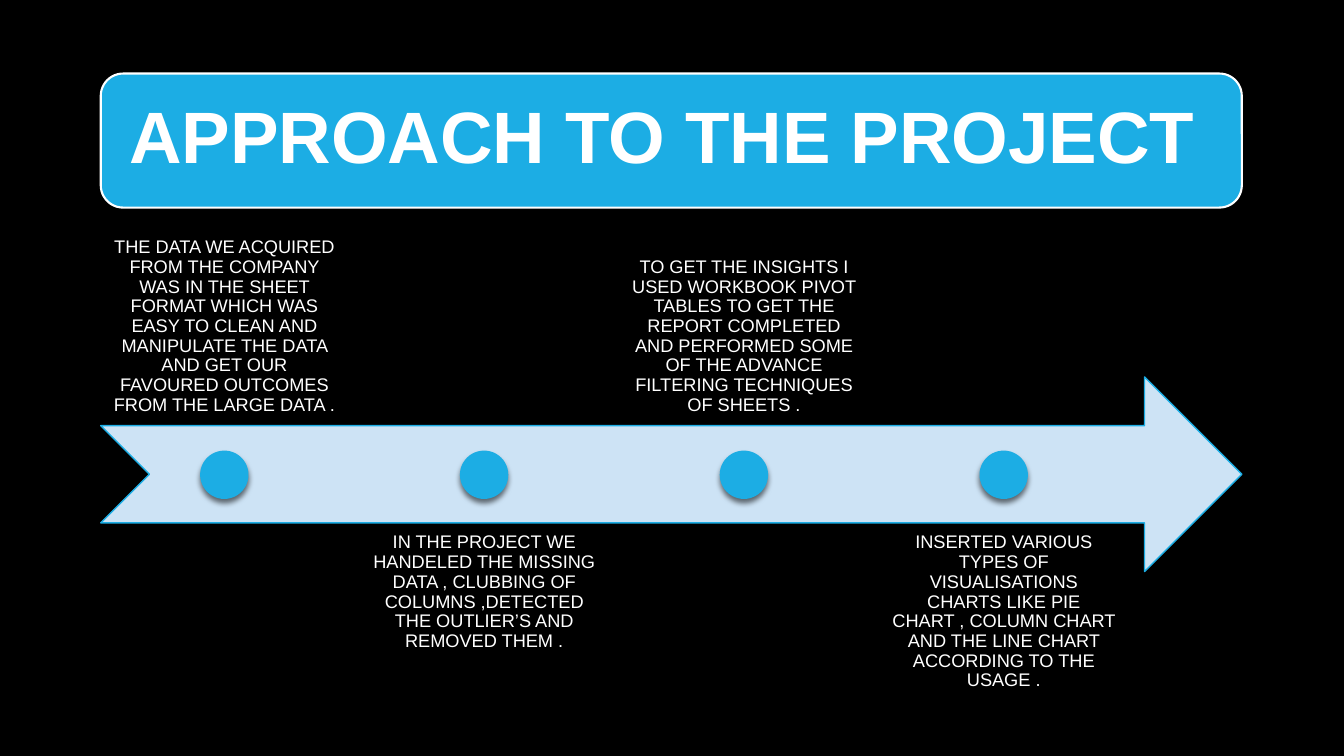
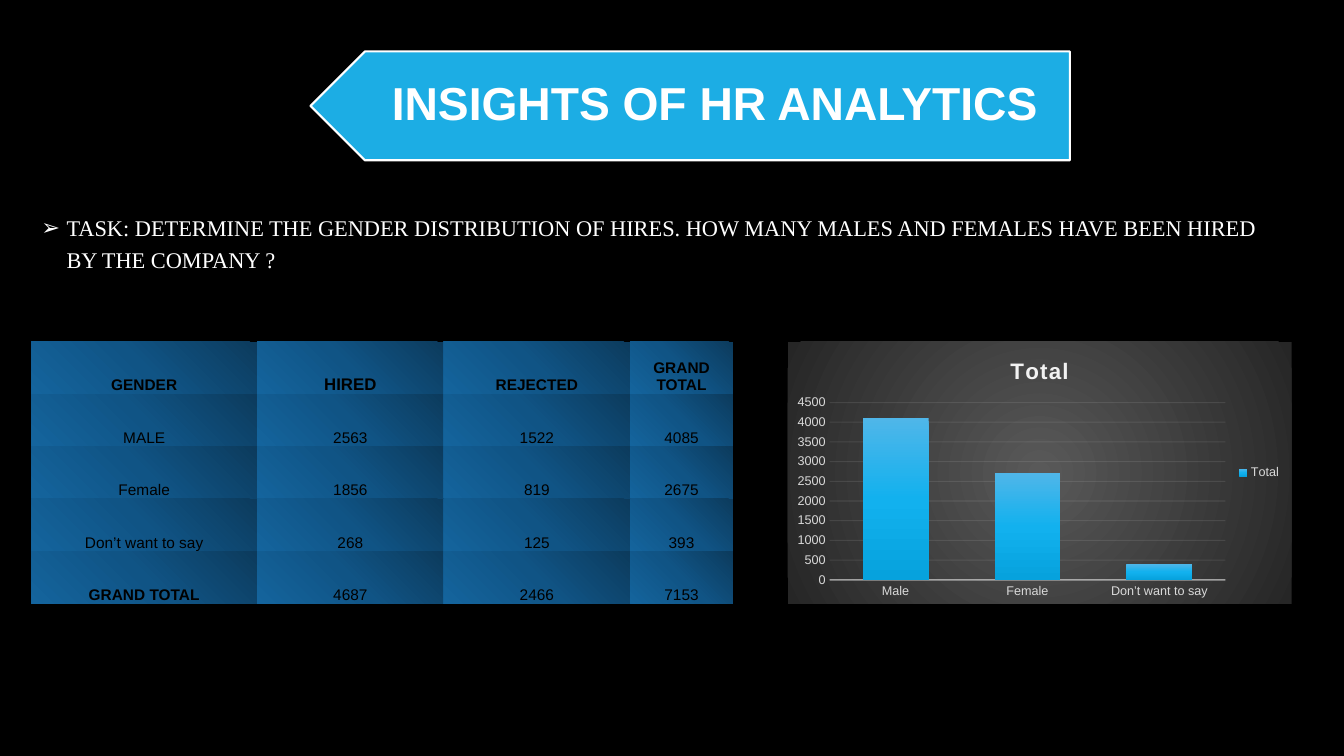
from dataclasses import dataclass
from typing import Any, NamedTuple, Optional

from lxml import etree
from pptx import Presentation
from pptx.chart.data import CategoryChartData
from pptx.dml.color import RGBColor
from pptx.enum.chart import XL_CHART_TYPE as ChartType, XL_LEGEND_POSITION as LegendPosition
from pptx.enum.chart import XL_TICK_MARK as TickMark
from pptx.enum.shapes import MSO_SHAPE as Preset
from pptx.enum.text import MSO_ANCHOR as Anchor, MSO_AUTO_SIZE as AutoSize, PP_ALIGN as Align
from pptx.oxml import parse_xml
from pptx.oxml.ns import nsdecls, qn
from pptx.util import Inches, Pt


class Gradient(NamedTuple):
    stops: tuple[tuple[int, str], ...]
    angle: Optional[int] = None


@dataclass(frozen=True)
class Theme:
    sans: str = "Arial"
    serif: str = "Times New Roman"
    ground: str = "000000"
    ink: str = "FFFFFF"
    accent: str = "1CADE4"
    pale: str = "CDE3F5"
    label: str = "D9D9D9"
    rule: str = "F2F2F2"
    title_size: int = 52
    subtitle_size: int = 33
    task_size: int = 16
    step_size: int = 13
    cell_size: int = 11
    large_cell_size: int = 12
    chart_title_size: int = 16
    chart_size: int = 9
    cell: Gradient = Gradient(((0, "0C3B5D"), (50, "105485"), (100, "14649D")), 135)
    bar: Gradient = Gradient(((0, "4FB6E9"), (50, "12B1EE"), (100, "06A2DD")), 90)
    plot: Gradient = Gradient(((0, "595959"), (100, "262626")))


THEME = Theme()
WIDTH, HEIGHT = Inches(13.33), Inches(7.5)
COLUMNS, ROWS = 100, 75


def columns(count: float) -> int:
    return round(WIDTH * count / COLUMNS)


def rows(count: float) -> int:
    return round(HEIGHT * count / ROWS)


class Box(NamedTuple):
    left: float
    top: float
    width: float
    height: float

    def frame(self) -> tuple[int, int, int, int]:
        return columns(self.left), rows(self.top), columns(self.width), rows(self.height)


class Banner(NamedTuple):
    text: str
    preset: Preset
    box: Box
    text_box: Box
    size: int
    align: Align
    insets: tuple[float, float, float, float]
    rotation: int = 0


class Step(NamedTuple):
    text: str
    above: bool


APPROACH = Banner("APPROACH TO THE PROJECT", Preset.ROUNDED_RECTANGLE,
                  Box(7.5, 7.3, 84.9, 13.3), Box(7.95, 7.9, 83.93, 12),
                  THEME.title_size, Align.LEFT, (0.22, 0.22, 0.22, 0.22))
INSIGHTS = Banner("INSIGHTS OF HR ANALYTICS", Preset.PENTAGON,
                  Box(23.1, 5.1, 56.5, 10.8), Box(25.13, 5.1, 54.47, 10.8),
                  THEME.subtitle_size, Align.CENTER, (0.48, 0.14, 0.26, 0.14), 180)

STEPS = (
    Step("THE DATA WE ACQUIRED FROM THE COMPANY WAS IN THE SHEET FORMAT WHICH WAS EASY TO CLEAN "
         "AND MANIPULATE THE DATA AND GET OUR FAVOURED OUTCOMES FROM THE LARGE DATA .", True),
    Step("IN THE PROJECT WE HANDELED THE MISSING DATA , CLUBBING OF COLUMNS ,DETECTED "
         "THE OUTLIER’S AND REMOVED THEM .", False),
    Step("TO GET THE INSIGHTS I USED WORKBOOK PIVOT TABLES TO GET THE REPORT COMPLETED AND "
         "PERFORMED SOME OF THE ADVANCE FILTERING TECHNIQUES OF SHEETS .", True),
    Step("INSERTED VARIOUS TYPES OF VISUALISATIONS CHARTS LIKE PIE CHART , COLUMN CHART "
         "AND THE LINE CHART ACCORDING TO THE USAGE .", False),
)
ARROW = Box(7.5, 37.4, 84.9, 19.3)
STEP_PITCH, STEP_WIDTH, STEP_HEIGHT = 19.33, 18.38, 19.3
ABOVE_TOP, BELOW_TOP = 22.9, 51.9
DOT_WIDTH, DOT_HEIGHT, DOT_TOP = 3.6, 4.8, 44.7

TASK = ("TASK: DETERMINE THE GENDER DISTRIBUTION OF HIRES. HOW MANY MALES AND FEMALES "
        "HAVE BEEN HIRED BY THE COMPANY ?")
TASK_BOX = Box(2.33, 20.2, 94.5, 49.7)
HIRES_BOX = Box(2.33, 33.9, 52.2, 26)
HIRES_COLUMNS = (16.8, 13.88, 13.88, 7.65)
HIRES = (
    ("GENDER", "HIRED", "REJECTED", "GRAND TOTAL"),
    ("MALE", "2563", "1522", "4085"),
    ("Female", "1856", "819", "2675"),
    ("Don’t want to say", "268", "125", "393"),
    ("GRAND TOTAL", "4687", "2466", "7153"),
)
CHART_BOX = Box(58.6, 33.9, 37.5, 26)
TOTALS = {"Male": 4100, "Female": 2700, "Don’t want to say": 400}


def apply(target: Any, values: dict[str, Any]) -> None:
    for name, value in values.items():
        setattr(target, name, value)


def set_font(font: Any, size: int, color: str, bold: bool = False, name: str = THEME.sans) -> None:
    apply(font, {"size": Pt(size), "bold": bold, "name": name})
    font.color.rgb = RGBColor.from_string(color)


def place(shape: Any, box: Box) -> None:
    apply(shape, dict(zip(("left", "top", "width", "height"), box.frame())))


def set_frame(frame: Any, anchor: Anchor, insets: tuple[float, ...]) -> None:
    names = ("margin_left", "margin_top", "margin_right", "margin_bottom")
    apply(frame, {"word_wrap": True, "auto_size": AutoSize.NONE, "vertical_anchor": anchor})
    apply(frame, {name: Inches(inset) for name, inset in zip(names, insets)})


def write(para: Any, text: str, align: Align, spacing: Optional[float] = None) -> Any:
    apply(para, {"alignment": align, "line_spacing": spacing, "space_before": Pt(0)})
    span = para.add_run()
    span.text = text
    return span.font


def gradient_fill(gradient: Gradient) -> Any:
    stops = "".join(f'<a:gs pos="{share * 1000}"><a:srgbClr val="{color}"/></a:gs>'
                    for share, color in gradient.stops)
    if gradient.angle is None:
        shade = ('<a:path path="circle"><a:fillToRect l="50000" t="50000" r="50000" b="50000"/>'
                 '</a:path>')
    else:
        shade = f'<a:lin ang="{gradient.angle * 60000}" scaled="0"/>'
    return parse_xml(f'<a:gradFill {nsdecls("a")} rotWithShape="1">'
                     f'<a:gsLst>{stops}</a:gsLst>{shade}</a:gradFill>')


def add_preset(page: Any, preset: Preset, box: Box, fill: str,
               line: Optional[str] = None, weight: float = 1) -> Any:
    shape = page.shapes.add_shape(preset, *box.frame())
    shape.shadow.inherit = False
    shape.fill.solid()
    shape.fill.fore_color.rgb = RGBColor.from_string(fill)
    if line is None:
        shape.line.fill.background()
    else:
        shape.line.color.rgb = RGBColor.from_string(line)
        shape.line.width = Pt(weight)
    return shape


def add_banner(page: Any, banner: Banner) -> None:
    shape = add_preset(page, banner.preset, banner.box, THEME.accent, THEME.ink, 1.5)
    shape.rotation = banner.rotation
    title = page.shapes.title
    shape.element.addnext(title.element)
    place(title, banner.text_box)
    set_frame(title.text_frame, Anchor.MIDDLE, banner.insets)
    font = write(title.text_frame.paragraphs[0], banner.text, banner.align, 0.9)
    set_font(font, banner.size, THEME.ink, True)


def add_dot(page: Any, box: Box) -> None:
    dot = add_preset(page, Preset.OVAL, box, THEME.accent)
    effects = dot.element.spPr.find(qn("a:effectLst"))
    effects.append(parse_xml(
        f'<a:outerShdw {nsdecls("a")} blurRad="{Pt(4)}" dist="{Pt(3)}" dir="5400000" '
        'rotWithShape="0"><a:srgbClr val="000000"><a:alpha val="54000"/></a:srgbClr>'
        '</a:outerShdw>'))


def add_step(page: Any, index: int, step: Step) -> None:
    left = ARROW.left + index * STEP_PITCH
    top, anchor = (ABOVE_TOP, Anchor.BOTTOM) if step.above else (BELOW_TOP, Anchor.TOP)
    note = page.shapes.add_textbox(*Box(left, top, STEP_WIDTH, STEP_HEIGHT).frame())
    set_frame(note.text_frame, anchor, (0.1, 0.1, 0.1, 0.1))
    font = write(note.text_frame.paragraphs[0], step.text, Align.CENTER, 0.9)
    set_font(font, THEME.step_size, THEME.ink)
    add_dot(page, Box(left + (STEP_WIDTH - DOT_WIDTH) / 2, DOT_TOP, DOT_WIDTH, DOT_HEIGHT))


def add_task(page: Any) -> None:
    body = page.placeholders[1]
    place(body, TASK_BOX)
    set_frame(body.text_frame, Anchor.TOP, (0.1, 0.05, 0.1, 0.05))
    para = body.text_frame.paragraphs[0]
    layout = para._p.get_or_add_pPr()
    layout.set("marL", str(Inches(0.25)))
    layout.set("indent", str(-Inches(0.25)))
    etree.SubElement(layout, qn("a:buFont"), typeface=THEME.sans)
    etree.SubElement(layout, qn("a:buChar"), char="➢")
    set_font(write(para, TASK, Align.LEFT, 1.2), THEME.task_size, THEME.ink, name=THEME.serif)


def add_hires(page: Any) -> None:
    holder = page.shapes.add_table(len(HIRES), len(HIRES_COLUMNS), *HIRES_BOX.frame())
    holder.element.xpath(".//a:tableStyleId")[0].text = "{2D5ABB26-0587-4C30-8999-92F81FD0307C}"
    table = holder.table
    apply(table, {"first_row": False, "horz_banding": False})
    for column, width in zip(table.columns, HIRES_COLUMNS):
        column.width = columns(width)
    for row_index, row in enumerate(HIRES):
        for column_index, text in enumerate(row):
            cell = table.cell(row_index, column_index)
            apply(cell, {"vertical_anchor": Anchor.BOTTOM, "margin_left": Inches(0.01),
                         "margin_top": Inches(0.01), "margin_right": Inches(0.01),
                         "margin_bottom": 0})
            size = THEME.large_cell_size if text == "HIRED" else THEME.cell_size
            bold = row_index == 0 or text == "GRAND TOTAL"
            font = write(cell.text_frame.paragraphs[0], text, Align.CENTER)
            set_font(font, size, THEME.ground, bold)
    for properties in holder.element.iter(qn("a:tcPr")):
        properties.append(gradient_fill(THEME.cell))


def add_totals(page: Any) -> None:
    data = CategoryChartData()
    data.categories = list(TOTALS)
    data.add_series("Total", list(TOTALS.values()))
    chart = page.shapes.add_chart(ChartType.COLUMN_CLUSTERED, *CHART_BOX.frame(), data).chart
    set_font(chart.font, THEME.chart_size, THEME.label)
    apply(chart, {"has_title": True, "has_legend": True})
    title = write(chart.chart_title.text_frame.paragraphs[0], "Total", Align.CENTER)
    set_font(title, THEME.chart_title_size, THEME.rule, True)
    apply(chart.legend, {"position": LegendPosition.RIGHT, "include_in_layout": False})
    apply(chart.plots[0], {"gap_width": 100, "vary_by_categories": False})
    apply(chart.value_axis, {"minimum_scale": 0, "maximum_scale": 4500, "major_unit": 500,
                             "has_major_gridlines": True})
    for axis in (chart.category_axis, chart.value_axis):
        apply(axis, {"major_tick_mark": TickMark.NONE, "minor_tick_mark": TickMark.NONE})
        set_font(axis.tick_labels.font, THEME.chart_size, THEME.label)
    set_font(chart.legend.font, THEME.chart_size, THEME.label)
    chart.value_axis.format.line.fill.background()
    for owner, weight in ((chart.category_axis, 1), (chart.value_axis.major_gridlines, 0.75)):
        owner.format.line.color.rgb = RGBColor.from_string(THEME.rule)
        owner.format.line.width = Pt(weight)
    root = chart.element
    for part, opacity in (("c:catAx/c:spPr", 54), ("c:majorGridlines", 10)):
        color = root.xpath(f".//{part}//a:srgbClr")[0]
        etree.SubElement(color, qn("a:alpha"), val=str(opacity * 1000))
    root.xpath(".//c:title//a:rPr")[0].set("spc", "100")
    root.xpath(".//c:ser")[0].get_or_add_spPr().append(gradient_fill(THEME.bar))
    area = parse_xml(f'<c:spPr {nsdecls("c", "a")}><a:ln><a:noFill/></a:ln></c:spPr>')
    area.insert(0, gradient_fill(THEME.plot))
    root.find(qn("c:chart")).addnext(area)


def build_approach(deck: Any) -> None:
    page = deck.slides.add_slide(deck.slide_layouts.get_by_name("Title Only"))
    add_banner(page, APPROACH)
    add_preset(page, Preset.NOTCHED_RIGHT_ARROW, ARROW, THEME.pale, THEME.accent)
    for index, step in enumerate(STEPS):
        add_step(page, index, step)


def build_insights(deck: Any) -> None:
    page = deck.slides.add_slide(deck.slide_layouts.get_by_name("Title and Content"))
    add_banner(page, INSIGHTS)
    add_task(page)
    add_hires(page)
    add_totals(page)


def main() -> None:
    deck = Presentation()
    apply(deck, {"slide_width": WIDTH, "slide_height": HEIGHT})
    ground = deck.slide_master.background.fill
    ground.solid()
    ground.fore_color.rgb = RGBColor.from_string(THEME.ground)
    build_approach(deck)
    build_insights(deck)
    deck.save("out.pptx")


if __name__ == "__main__":
    main()
